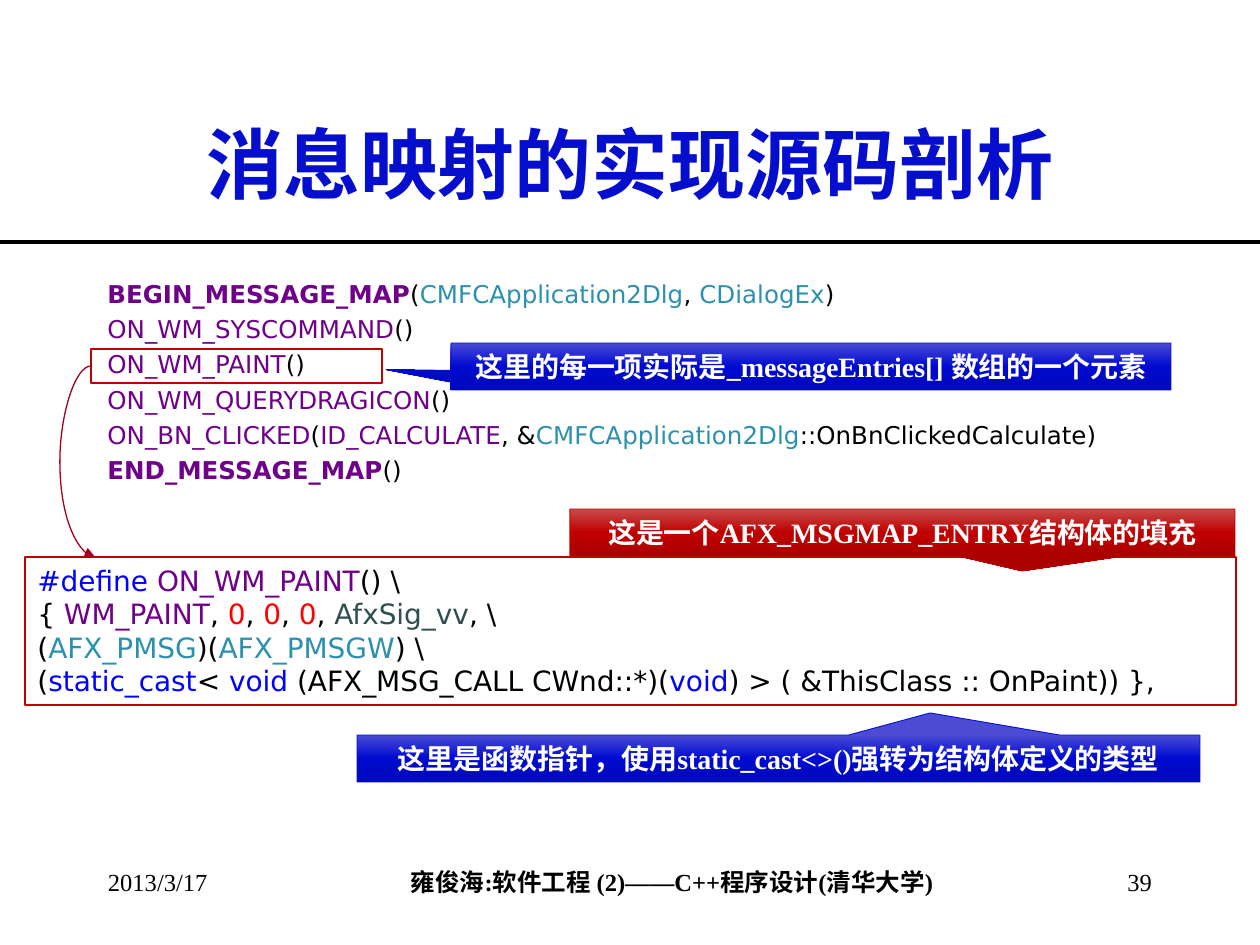
from copy import deepcopy
from typing import NamedTuple

from lxml import etree
from pptx import Presentation
from pptx.dml.color import RGBColor
from pptx.enum import shapes, text
from pptx.oxml.ns import qn
from pptx.util import Emu, Pt

PX = 914400 / 126
SERIF, SANS = "Times New Roman", "DejaVu Sans"
BLACK, WHITE, BLUE, RED = "000000", "FFFFFF", "040ECC", "C00000"
MACRO, TYPE, KEYWORD, NUMBER, ENUM = "6F008A", "2B91AF", "0000FF", "FF0000", "2F4F4F"
BLUE_FADE = ("4B4BD6", "000AD0", "0009B9")
RED_FADE = ("C84B4B", "C00000", "AB0000")
LEFT, CENTER, RIGHT = text.PP_ALIGN.LEFT, text.PP_ALIGN.CENTER, text.PP_ALIGN.RIGHT


class Area(NamedTuple):
    left: int
    top: int
    width: int
    height: int


class Span(NamedTuple):
    text: str
    color: str = BLACK
    bold: bool = False


class Label(NamedTuple):
    area: Area
    span: Span
    size: int
    align: text.PP_ALIGN
    anchor: text.MSO_ANCHOR = text.MSO_ANCHOR.TOP
    side_inset: int = 13


class Callout(NamedTuple):
    area: Area
    words: str
    tip: tuple[float, float]
    fade: tuple[str, str, str]
    border: str


def emu(*lengths: int) -> list[Emu]:
    return [Emu(round(length * PX)) for length in lengths]


def rgb(color: str) -> RGBColor:
    return RGBColor.from_string(color)


def write(box, lines: list[list[Span]], size: int, font: str,
          align=LEFT, gap: float = 0) -> None:
    frame = box.text_frame
    frame.word_wrap = True
    for index, line in enumerate(lines):
        para = frame.add_paragraph() if index else frame.paragraphs[0]
        para.alignment = align
        if index:
            para.space_before = Pt(gap)
        for span in line:
            run = para.add_run()
            run.text = span.text
            run.font.name, run.font.size = font, Pt(size)
            run.font.bold = span.bold
            run.font.color.rgb = rgb(span.color)


def add_label(page, label: Label) -> None:
    box = page.shapes.add_textbox(*emu(*label.area))
    frame = box.text_frame
    frame.vertical_anchor = label.anchor
    frame.margin_left = frame.margin_right = emu(label.side_inset)[0]
    write(box, [[label.span]], label.size, SERIF, label.align)


def add_frame(page, area: Area, border: str, width: float,
              kind=shapes.MSO_SHAPE.RECTANGLE):
    box = page.shapes.add_shape(kind, *emu(*area))
    box.shadow.inherit = False
    box.fill.background()
    box.line.color.rgb = rgb(border)
    box.line.width = Pt(width)
    return box


def add_callout(page, callout: Callout) -> None:
    box = add_frame(page, callout.area, callout.border, 0.5,
                    shapes.MSO_SHAPE.RECTANGULAR_CALLOUT)
    box.adjustments[0], box.adjustments[1] = callout.tip
    box.fill.gradient()
    box.fill.gradient_angle = 270
    first = box.fill._fill._gradFill.find(qn("a:gsLst"))[0]
    first.addnext(deepcopy(first))
    for stop, color, position in zip(box.fill.gradient_stops, callout.fade, (0, 0.5, 1)):
        stop.color.rgb = rgb(color)
        stop.position = position
    box.text_frame.vertical_anchor = text.MSO_ANCHOR.MIDDLE
    write(box, [[Span(callout.words, WHITE, True)]], 16, SERIF, CENTER)


def add_line(page, kind, ends: tuple[int, int, int, int], color: str, width: float):
    line = page.shapes.add_connector(kind, *emu(*ends))
    line.line.color.rgb = rgb(color)
    line.line.width = Pt(width)
    etree.SubElement(line._element.spPr, qn("a:effectLst"))
    return line


MESSAGE_MAP = [
    [Span("BEGIN_MESSAGE_MAP", MACRO, True), Span("("), Span("CMFCApplication2Dlg", TYPE),
     Span(", "), Span("CDialogEx", TYPE), Span(")")],
    *[[Span(name, MACRO), Span("()")]
      for name in ("ON_WM_SYSCOMMAND", "ON_WM_PAINT", "ON_WM_QUERYDRAGICON")],
    [Span("ON_BN_CLICKED", MACRO), Span("("), Span("ID_CALCULATE", MACRO), Span(", &"),
     Span("CMFCApplication2Dlg", TYPE), Span("::OnBnClickedCalculate)")],
    [Span("END_MESSAGE_MAP", MACRO, True), Span("()")],
]
PAINT_MACRO = [
    [Span("#define", KEYWORD), Span(" "), Span("ON_WM_PAINT", MACRO), Span("() \\")],
    [Span("{ "), Span("WM_PAINT", MACRO), *[Span(", "), Span("0", NUMBER)] * 3,
     Span(", "), Span("AfxSig_vv", ENUM), Span(", \\")],
    [Span("("), Span("AFX_PMSG", TYPE), Span(")("), Span("AFX_PMSGW", TYPE), Span(") \\")],
    [Span("("), Span("static_cast", KEYWORD), Span("< "), Span("void", KEYWORD),
     Span(" (AFX_MSG_CALL CWnd::*)("), Span("void", KEYWORD),
     Span(") > ( &ThisClass :: OnPaint)) },")],
]
LABELS = [
    Label(Area(258, 861, 828, 42),
          Span("雍俊海:软件工程 (2)——C++程序设计(清华大学)", bold=True), 14, CENTER, side_inset=0),
    Label(Area(95, 84, 1071, 158), Span("消息映射的实现源码剖析", BLUE, True), 44, CENTER,
          text.MSO_ANCHOR.MIDDLE),
    Label(Area(95, 861, 262, 63), Span("2013/3/17"), 14, LEFT),
    Label(Area(903, 861, 262, 63), Span("39"), 14, RIGHT),
]
CALLOUTS = [
    Callout(Area(451, 343, 720, 47), "这里的每一项实际是_messageEntries[] 数组的一个元素",
            (-0.59, 0.07), BLUE_FADE, BLUE),
    Callout(Area(357, 735, 843, 47), "这里是函数指针，使用static_cast<>()强转为结构体定义的类型",
            (0.18, -0.97), BLUE_FADE, BLUE),
    Callout(Area(570, 509, 665, 47), "这是一个AFX_MSGMAP_ENTRY结构体的填充",
            (0.18, 0.82), RED_FADE, RED),
]


def main() -> None:
    deck = Presentation()
    deck.slide_width, deck.slide_height = emu(1260, 945)
    page = deck.slides.add_slide(deck.slide_layouts[6])

    # Title, footer and rule
    for label in LABELS:
        add_label(page, label)
    add_line(page, shapes.MSO_CONNECTOR.STRAIGHT, (0, 242, 1260, 242), BLACK, 2.25)

    # Message map with the paint entry marked
    listing = page.shapes.add_textbox(*emu(95, 273, 1071, 567))
    write(listing, MESSAGE_MAP, 14, SANS, gap=3.3)
    add_frame(page, Area(91, 349, 291, 34), RED, 1)

    # Expanded macro
    macro = add_frame(page, Area(25, 557, 1211, 148), RED, 1)
    macro.fill.solid()
    macro.fill.fore_color.rgb = rgb(WHITE)
    macro.text_frame.vertical_anchor = text.MSO_ANCHOR.TOP
    write(macro, PAINT_MACRO, 16, SANS)

    # Curved arrow from the entry to its macro
    arrow = add_line(page, shapes.MSO_CONNECTOR.CURVE, (91, 366, 95, 557), "A30021", 0.75)
    guides = arrow._element.spPr.find(qn("a:prstGeom")).get_or_add_avLst()
    etree.SubElement(guides, qn("a:gd"), name="adj1", fmla="val -775000")
    etree.SubElement(arrow.line._get_or_add_ln(), qn("a:tailEnd"), type="triangle")

    # Explanations
    for callout in CALLOUTS:
        add_callout(page, callout)

    deck.save("out.pptx")


if __name__ == "__main__":
    main()
